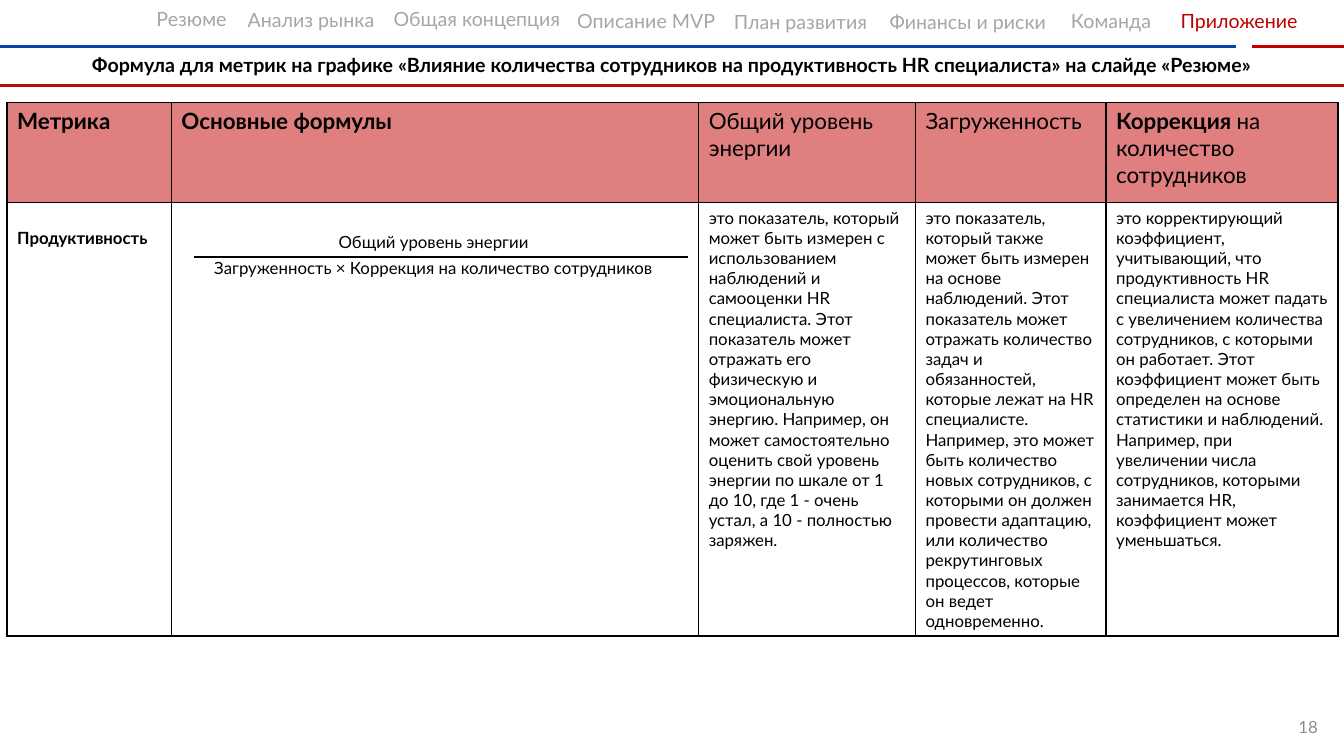
from dataclasses import dataclass

from lxml import etree
from pptx import Presentation
from pptx.dml.color import RGBColor
from pptx.enum import shapes, text
from pptx.oxml import ns
from pptx.util import Inches, Pt

FONT = "Lato"
COLORS = {
    "black": "000000",
    "inactive": "A6A6A6",
    "active": "C00000",
    "page": "8C8C8C",
    "blue": "0744A4",
    "red": "B70E09",
}
CENTER = text.PP_ALIGN.CENTER
LEFT = text.PP_ALIGN.LEFT
RIGHT = text.PP_ALIGN.RIGHT


@dataclass
class Label:
    text: str
    left: float
    top: float
    width: float
    height: float = 0.34
    size: int = 14
    color: str = "inactive"
    bold: bool = False
    align: text.PP_ALIGN = CENTER


@dataclass
class Rule:
    start: float
    end: float
    y: float
    color: str
    width: float = 2.25


@dataclass
class Column:
    width: float
    heading: list[tuple[str, bool]]
    body: str = ""
    body_bold: bool = False
    body_top: float = 0.05


NAVIGATION = [
    Label("Резюме", 1.32, 0.02, 1.16),
    Label("Анализ рынка", 2.2, 0.03, 1.77),
    Label("Общая концепция ", 3.6, 0.02, 2.31),
    Label("Описание MVP", 5.33, 0.04, 2.16),
    Label("План развития", 6.9, 0.05, 2.08),
    Label("Финансы и риски", 8.51, 0.05, 2.18),
    Label("Команда ", 10.36, 0.04, 1.37),
    Label("Приложение ", 11.36, 0.04, 1.91, color="active"),
]
TITLE = Label(
    "Формула для метрик на графике «Влияние количества сотрудников на "
    "продуктивность HR специалиста» на слайде «Резюме»",
    0, 0.48, 13.33, color="black", bold=True,
)
PAGE_NUMBER = Label("18", 10.17, 7.01, 3, 0.4, 12, "page", align=RIGHT)
RULES = [
    Rule(0, 12.26, 0.46, "blue"),
    Rule(12.42, 13.33, 0.46, "active"),
    Rule(0, 13.33, 0.85, "red"),
]
NUMERATOR = Label("Общий уровень энергии", 3.26, 2.25, 3.12, 0.3, 12, "black", align=LEFT)
FRACTION_BAR = Rule(1.92, 6.82, 2.55, "black", 1.5)
DENOMINATOR = Label(
    "Загруженность × Коррекция на количество сотрудников",
    0.98, 2.51, 6.64, 0.3, 12, "black",
)
ROW_HEIGHTS = [0.99, 4.3]
COLUMNS = [
    Column(1.63, [("Метрика", True)], "Продуктивность", True, 0.25),
    Column(5.23, [("Основные формулы", True)]),
    Column(
        2.15, [("Общий уровень ", False), ("энергии", False)],
        "это показатель, который может быть измерен с использованием наблюдений "
        "и самооценки HR специалиста. Этот показатель может отражать его физическую "
        "и эмоциональную энергию. Например, он может самостоятельно оценить свой "
        "уровень энергии по шкале от 1 до 10, где 1 - очень устал, а 10 - полностью "
        "заряжен.",
    ),
    Column(
        1.89, [("Загруженность", False)],
        "это показатель, который также может быть измерен на основе наблюдений. "
        "Этот показатель может отражать количество задач и обязанностей, которые "
        "лежат на HR специалисте. Например, это может быть количество новых "
        "сотрудников, с которыми он должен провести адаптацию, или количество "
        "рекрутинговых процессов, которые он ведет одновременно.",
    ),
    Column(
        2.3, [("Коррекция ", True), ("на количество сотрудников", False)],
        "это корректирующий коэффициент, учитывающий, что продуктивность HR "
        "специалиста может падать с увеличением количества сотрудников, с которыми "
        "он работает. Этот коэффициент может быть определен на основе статистики и "
        "наблюдений. Например, при увеличении числа сотрудников, которыми занимается "
        "HR, коэффициент может уменьшаться.",
    ),
]


def rgb(name: str) -> RGBColor:
    return RGBColor.from_string(COLORS[name])


def set_font(font, size: int, color: str, bold: bool) -> None:
    font.name = FONT
    font.size = Pt(size)
    font.bold = bold
    font.color.rgb = rgb(color)


def add_label(parent, label: Label):
    box = parent.add_textbox(
        Inches(label.left), Inches(label.top), Inches(label.width), Inches(label.height)
    )
    frame = box.text_frame
    frame.word_wrap = True
    paragraph = frame.paragraphs[0]
    paragraph.text = label.text
    paragraph.alignment = label.align
    set_font(paragraph.font, label.size, label.color, label.bold)
    return box


def add_rule(parent, rule: Rule) -> None:
    line = parent.add_connector(
        shapes.MSO_CONNECTOR.STRAIGHT,
        Inches(rule.start), Inches(rule.y), Inches(rule.end), Inches(rule.y),
    )
    line.line.color.rgb = rgb(rule.color)
    line.line.width = Pt(rule.width)
    etree.SubElement(line._element.spPr, ns.qn("a:effectLst"))


def add_borders(cell) -> None:
    properties = cell._tc.get_or_add_tcPr()
    for side in ("lnL", "lnR", "lnT", "lnB"):
        border = etree.SubElement(properties, ns.qn(f"a:{side}"), w=str(Pt(1)))
        fill = etree.SubElement(border, ns.qn("a:solidFill"))
        etree.SubElement(fill, ns.qn("a:srgbClr"), val=COLORS["black"])


def fill_heading(cell, column: Column) -> None:
    cell.fill.solid()
    cell.fill.fore_color.rgb = rgb("active")
    color = cell._tc.tcPr.find(f"{ns.qn('a:solidFill')}/{ns.qn('a:srgbClr')}")
    etree.SubElement(color, ns.qn("a:alpha"), val="50000")
    paragraph = cell.text_frame.paragraphs[0]
    mixed = len({bold for _, bold in column.heading}) > 1
    for index, (words, bold) in enumerate(column.heading):
        if index and not mixed:
            paragraph = cell.text_frame.add_paragraph()
        run = paragraph.add_run()
        run.text = words
        set_font(run.font if mixed else paragraph.font, 16, "black", bold)


def fill_body(cell, column: Column) -> None:
    cell.fill.background()
    cell.margin_top = Inches(column.body_top)
    paragraph = cell.text_frame.paragraphs[0]
    paragraph.text = column.body
    set_font(paragraph.font, 12, "black", column.body_bold)


def add_metrics_table(slide) -> None:
    table = slide.shapes.add_table(
        len(ROW_HEIGHTS), len(COLUMNS), Inches(0.07), Inches(1.02),
        Inches(sum(column.width for column in COLUMNS)), Inches(sum(ROW_HEIGHTS)),
    ).table
    table.first_row = table.horz_banding = False
    for row, height in zip(table.rows, ROW_HEIGHTS):
        row.height = Inches(height)
    for index, column in enumerate(COLUMNS):
        table.columns[index].width = Inches(column.width)
        for row, fill_cell in enumerate((fill_heading, fill_body)):
            cell = table.cell(row, index)
            add_borders(cell)
            fill_cell(cell, column)


def main() -> None:
    presentation = Presentation()
    presentation.slide_width = Inches(13.33)
    presentation.slide_height = Inches(7.5)
    slide = presentation.slides.add_slide(presentation.slide_layouts[6])
    for label in [*NAVIGATION, TITLE]:
        add_label(slide.shapes, label)
    add_label(slide.shapes, PAGE_NUMBER).text_frame.vertical_anchor = text.MSO_ANCHOR.MIDDLE
    for rule in RULES:
        add_rule(slide.shapes, rule)
    add_metrics_table(slide)
    formula = slide.shapes.add_group_shape().shapes
    add_label(formula, NUMERATOR)
    add_rule(formula, FRACTION_BAR)
    add_label(formula, DENOMINATOR)
    presentation.save("out.pptx")


if __name__ == "__main__":
    main()
